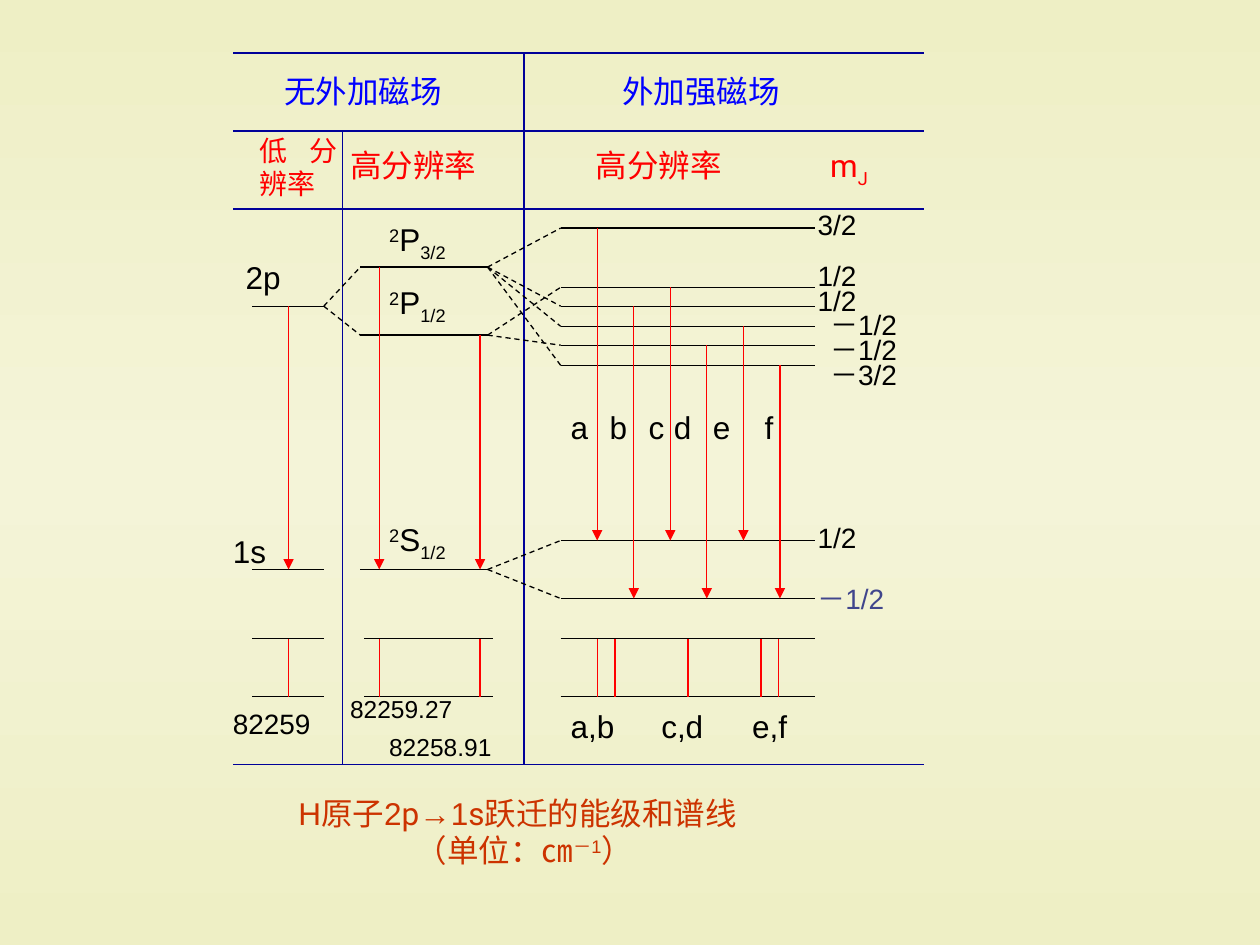
from copy import deepcopy
from typing import NamedTuple

from lxml import etree
from pptx import Presentation
from pptx import util as u
from pptx.dml.color import RGBColor
from pptx.enum import dml, shapes, text
from pptx.oxml import ns

COLORS = {
    "edge": "EEEFC5", "middle": "F4F4D8", "grid": "000099", "level": "000000",
    "transition": "FF0000", "heading": "0000FF", "subheading": "FF0000",
    "label": "000000", "lower": "40458C", "caption": "CC3300",
}
SUPER, SUB = 30, -25


class Line(NamedTuple):
    x1: float
    y1: float
    x2: float
    y2: float
    color: str = "level"
    dashed: bool = False
    arrow: bool = False


class Span(NamedTuple):
    words: str
    baseline: int = 0
    font: str = "Arial"


class Label(NamedTuple):
    x: float
    y: float
    width: float
    spans: list[Span]
    size: int = 18
    color: str = "label"
    height: float = 0.4
    justified: bool = True


def rgb(name: str) -> RGBColor:
    return RGBColor.from_string(COLORS[name])


def add_line(page, line: Line) -> None:
    connector = page.shapes.add_connector(
        shapes.MSO_CONNECTOR.STRAIGHT, *map(u.Inches, line[:4]))
    connector.line.width = u.Pt(0.75)
    connector.line.color.rgb = rgb(line.color)
    if line.dashed:
        connector.line.dash_style = dml.MSO_LINE.DASH
    if line.arrow:
        etree.SubElement(connector.line._get_or_add_ln(), ns.qn("a:tailEnd"), type="triangle")
    etree.SubElement(connector._element.spPr, ns.qn("a:effectLst"))


def add_spans(para, spans: list[Span], size: int, color: str) -> None:
    for item in spans:
        span = para.add_run()
        span.text = item.words
        for name, value in {"name": item.font, "size": u.Pt(size)}.items():
            setattr(span.font, name, value)
        span.font.color.rgb = rgb(color)
        if item.baseline:
            span._r.get_or_add_rPr().set("baseline", str(item.baseline * 1000))


def add_label(page, label: Label):
    box = page.shapes.add_textbox(
        *map(u.Inches, (label.x, label.y, label.width, label.height)))
    frame = box.text_frame
    for name, value in {"word_wrap": True,
                        "auto_size": text.MSO_AUTO_SIZE.SHAPE_TO_FIT_TEXT}.items():
        setattr(frame, name, value)
    para = frame.paragraphs[0]
    para.alignment = text.PP_ALIGN.JUSTIFY if label.justified else text.PP_ALIGN.LEFT
    add_spans(para, label.spans, label.size, label.color)
    return frame


def paint_background(page) -> None:
    fill = page.background.fill
    fill.gradient()
    fill.gradient_angle = 90
    for stop in fill.gradient_stops:
        stop.color.rgb = rgb("edge")
    first = page.element.xpath(".//p:bg//a:gs")[0]
    first.addnext(deepcopy(first))
    middle = fill.gradient_stops[1]
    middle.position = 0.5
    middle.color.rgb = rgb("middle")


# Column edges and energy levels
LOW, FINE, SPLIT = (2, 2.57), (2.86, 3.87), (4.45, 6.47)
P_LOW, S_LOW = 2.43, 4.52
P32, P12 = 2.12, 2.66
P_SPLIT = [1.81, 2.28, 2.43, 2.59, 2.74, 2.9]
S_SPLIT = [4.29, 4.75]
SPECTRUM = (5.07, 5.53)


def table_rules() -> list[Line]:
    rows = [Line(1.85, y, 7.33, y, "grid") for y in (0.42, 1.04, 1.66, 6.07)]
    return rows + [Line(x, top, x, 6.07, "grid") for x, top in ((4.16, 0.42), (2.72, 1.04))]


def level_lines() -> list[Line]:
    columns = [
        (LOW, [P_LOW, S_LOW, *SPECTRUM]),
        (FINE, [P32, P12, S_LOW]),
        ((2.89, 3.91), SPECTRUM),
        (SPLIT, [*P_SPLIT, *S_SPLIT, *SPECTRUM]),
    ]
    return [Line(left, y, right, y) for (left, right), ys in columns for y in ys]


def splitting_lines() -> list[Line]:
    fans = [
        (LOW[1], P_LOW, FINE[0], [P32, P12]),
        (FINE[1], P32, SPLIT[0], [P_SPLIT[i] for i in (0, 2, 3, 5)]),
        (FINE[1], P12, SPLIT[0], [P_SPLIT[i] for i in (1, 4)]),
        (FINE[1], S_LOW, SPLIT[0], S_SPLIT),
    ]
    return [Line(x1, y1, x2, y2, dashed=True) for x1, y1, x2, ys in fans for y2 in ys]


def transition_lines() -> list[Line]:
    arrows = [(2.29, P_LOW, S_LOW), (3.01, P32, S_LOW), (3.81, P12, S_LOW)]
    # Lines a to f end on the two lower levels in turn
    for i, level in enumerate((0, 2, 1, 4, 3, 5)):
        arrows.append((4.74 + 0.29 * i, P_SPLIT[level], S_SPLIT[i % 2]))
    marks = (2.29, 3.01, 3.81, 4.74, 4.88, 5.46, 6.04, 6.18)
    return ([Line(x, top, x, end, "transition", arrow=True) for x, top, end in arrows]
            + [Line(x, SPECTRUM[0], x, SPECTRUM[1], "transition") for x in marks])


def labels() -> list[Label]:
    found = [
        # Column headings
        Label(2.16, 0.52, 1.96, [Span("无外加磁场")], color="heading"),
        Label(4.84, 0.52, 1.85, [Span("外加强磁场")], color="heading"),
        Label(1.96, 1.01, 0.82, [Span("低分辨率")], 16, "subheading", 0.64),
        Label(2.68, 1.11, 1.55, [Span("高分辨率")], color="subheading"),
        Label(4.63, 1.11, 1.55, [Span("高分辨率")], color="subheading"),
        Label(6.49, 1.11, 0.72, [Span("m", font="Roboto"), Span("J", SUB, "Roboto")],
              color="subheading", height=0.44),
        # Unsplit levels and wave numbers
        Label(1.85, 2, 0.62, [Span("2p")]),
        Label(1.75, 4.17, 0.62, [Span("1s")]),
        Label(1.75, 5.56, 1.03, [Span("82259")], 16, height=0.37),
        Label(2.68, 5.46, 1.34, [Span("82259.27")], 14, height=0.34),
        Label(2.99, 5.76, 1.34, [Span("82258.91")], 14, height=0.34),
        Label(6.39, 4.57, 1.03, [Span("－1/2")], 16, "lower", 0.37, False),
    ]
    # Term symbols
    for y, term, j in ((1.7, "P", "3/2"), (2.2, "P", "1/2"), (4.08, "S", "1/2")):
        found.append(Label(2.99, y, 0.93, [Span("2", SUPER), Span(term), Span(j, SUB)],
                           height=0.44))
    # Transition names
    for x, name in zip((4.43, 4.74, 5.05, 5.25, 5.56, 5.97), "abcdef"):
        found.append(Label(x, 3.19, 0.41 if name in "abc" else 0.31, [Span(name)]))
    for i, pair in enumerate(("a,b", "c,d", "e,f")):
        found.append(Label(4.43 + 0.72 * i, 5.56, 0.72, [Span(pair)]))
    # Magnetic quantum numbers
    for x, y, value in ((6.39, 1.6, "3/2"), (6.39, 2, "1/2"), (6.39, 2.2, "1/2"),
                        (6.49, 2.39, "－1/2"), (6.49, 2.59, "－1/2"),
                        (6.49, 2.79, "－3/2"), (6.39, 4.08, "1/2")):
        found.append(Label(x, y, 0.93, [Span(value)], 16, height=0.37))
    return found


def add_caption(page) -> None:
    title = [Span("H原子2"), Span("p", font="Roboto"), Span("→1"),
             Span("s", font="Roboto"), Span("跃迁的能级和谱线")]
    frame = add_label(page, Label(2.27, 6.25, 4.74, title, color="caption",
                                  height=0.7, justified=False))
    unit = frame.add_paragraph()
    unit._p.get_or_add_pPr().set("marL", str(u.Inches(0.93)))
    add_spans(unit, [Span("（单位：㎝"), Span("－1", SUPER), Span("）")], 18, "caption")


def main() -> None:
    deck = Presentation()
    deck.slide_width, deck.slide_height = u.Inches(10), u.Inches(7.5)
    page = deck.slides.add_slide(deck.slide_layouts[6])
    paint_background(page)
    for line in table_rules() + level_lines() + splitting_lines() + transition_lines():
        add_line(page, line)
    for label in labels():
        add_label(page, label)
    add_caption(page)
    deck.save("out.pptx")


if __name__ == "__main__":
    main()
